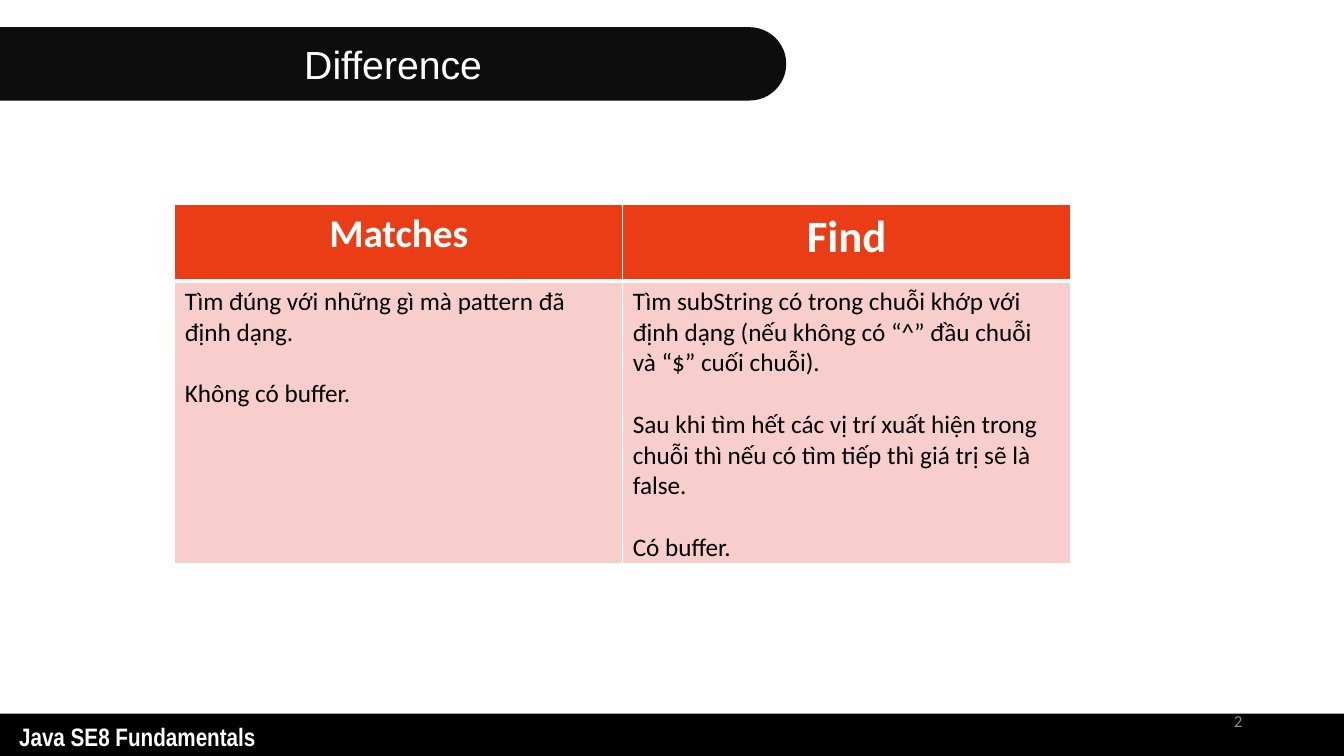
import pptx
import pptx.util
import pptx.dml.color
import pptx.enum.shapes
import pptx.enum.text
import pptx.oxml
import pptx.oxml.ns

COLORS = {"white": "FFFFFF", "black": "000000", "banner": "0D0D0D",
          "header": "EA3D15", "body": "F7CECC", "number": "8C8C8C"}
ALIGN = pptx.enum.text.PP_ALIGN
ANCHOR = pptx.enum.text.MSO_ANCHOR
SHAPES = pptx.enum.shapes.MSO_SHAPE


class SlideBuilder:
    """Holds the style and the slide; places are percentages of its size."""

    def __init__(self, presentation):
        """Add a title-only slide."""
        self.width = presentation.slide_width
        self.height = presentation.slide_height
        self.slide = presentation.slides.add_slide(presentation.slide_layouts[5])

    def box(self, left, top, width, height):
        """Turn percentages into a position and size."""
        return [int(share * size / 100) for share, size in zip(
            (left, top, width, height), (self.width, self.height) * 2)]

    def color(self, name):
        """Look up a colour."""
        return pptx.dml.color.RGBColor.from_string(COLORS[name])

    def shape(self, kind, box, fill):
        """Add a filled preset shape without outline or shadow."""
        shape = self.slide.shapes.add_shape(kind, *box)
        shape.shadow.inherit = False
        shape.fill.solid()
        shape.fill.fore_color.rgb = self.color(fill)
        shape.line.fill.background()
        return shape

    def fill_text(self, frame, texts, size, color, font="Calibri", bold=False,
                  align=ALIGN.LEFT, gap=0):
        """Set paragraphs in one style, with a gap between them."""
        frame.word_wrap = True
        for index, text in enumerate(texts):
            paragraph = frame.add_paragraph() if index else frame.paragraphs[0]
            paragraph.text = text
            paragraph.alignment = align
            paragraph.space_before = pptx.util.Pt(gap if index else 0)
            paragraph.font.name = font
            paragraph.font.size = pptx.util.Pt(size)
            paragraph.font.bold = bold
            paragraph.font.color.rgb = self.color(color)

    def text(self, text, box, size, color, anchor=ANCHOR.TOP, **style):
        """Add a text box."""
        frame = self.slide.shapes.add_textbox(*box).text_frame
        frame.vertical_anchor = anchor
        self.fill_text(frame, [text], size, color, **style)

    def title(self, text, box):
        """Put the title on a banner with a rounded right end."""
        left, top, width, height = box
        # The banner is drawn upright about the same centre, then turned.
        upright = (left + (width - height) // 2, top + (height - width) // 2,
                   height, width)
        banner = self.shape(SHAPES.ROUND_2_SAME_RECTANGLE, upright, "banner")
        banner.rotation = 90
        banner.adjustments[0] = 0.5
        title = self.slide.shapes.title
        title.left, title.top, title.width, title.height = box
        title.text_frame.vertical_anchor = ANCHOR.MIDDLE
        self.fill_text(title.text_frame, [text], 28, "white", "Arial",
                       align=ALIGN.CENTER)
        banner._element.addnext(title._element)

    def borders(self, cell, **widths):
        """Draw white borders on a cell, keyed by side L, R, T or B."""
        properties = cell._tc.get_or_add_tcPr()
        for index, (side, points) in enumerate(widths.items()):
            properties.insert(index, pptx.oxml.parse_xml(
                f'<a:ln{side} {pptx.oxml.ns.nsdecls("a")} w="{pptx.util.Pt(points)}">'
                f'<a:solidFill><a:srgbClr val="{COLORS["white"]}"/></a:solidFill>'
                f'</a:ln{side}>'))

    def table(self, columns, box, row_shares):
        """Add a table from (heading, heading size, paragraphs) columns."""
        table = self.slide.shapes.add_table(2, len(columns), *box).table
        for row, share in zip(table.rows, row_shares):
            row.height = int(share * self.height / 100)
        for index, (heading, size, paragraphs) in enumerate(columns):
            header, body = table.cell(0, index), table.cell(1, index)
            for cell, fill in ((header, "header"), (body, "body")):
                cell.fill.solid()
                cell.fill.fore_color.rgb = self.color(fill)
            self.fill_text(header.text_frame, [heading], size, "white", bold=True,
                           align=ALIGN.CENTER)
            self.fill_text(body.text_frame, paragraphs, 18, "black", gap=22)
            body.margin_bottom = 0
            self.borders(header, L=1, R=1, T=1, B=3)
            self.borders(body, L=1, R=1, T=3, B=1)


def main():
    """Build and save the slide."""
    presentation = pptx.Presentation()
    presentation.slide_width = pptx.util.Inches(13.33)
    presentation.slide_height = pptx.util.Inches(7.5)
    builder = SlideBuilder(presentation)
    builder.shape(SHAPES.RECTANGLE, builder.box(0, 94.4, 100, 5.6), "black")
    builder.text("Java SE8 Fundamentals", builder.box(0.68, 94.8, 24.6, 5.2),
                 18, "white", font="Arial Narrow", bold=True)
    builder.text("2", builder.box(70.67, 92.67, 22.5, 5.33), 12, "number",
                 anchor=ANCHOR.MIDDLE, align=ALIGN.RIGHT)
    builder.title("Difference", builder.box(0, 3.6, 58.5, 9.7))
    columns = [
        ("Matches", 28, ["Tìm đúng với những gì mà pattern đã định dạng.",
                         "Không có buffer."]),
        ("Find", 32, ["Tìm subString có trong chuỗi khớp với định dạng "
                      "(nếu không có “^” đầu chuỗi và “$” cuối chuỗi).",
                      "Sau khi tìm hết các vị trí xuất hiện trong chuỗi thì "
                      "nếu có tìm tiếp thì giá trị sẽ là false.",
                      "Có buffer."])]
    row_shares = (10.1, 37.2)
    builder.table(columns, builder.box(13, 27.1, 66.67, sum(row_shares)), row_shares)
    presentation.save("out.pptx")


main()
